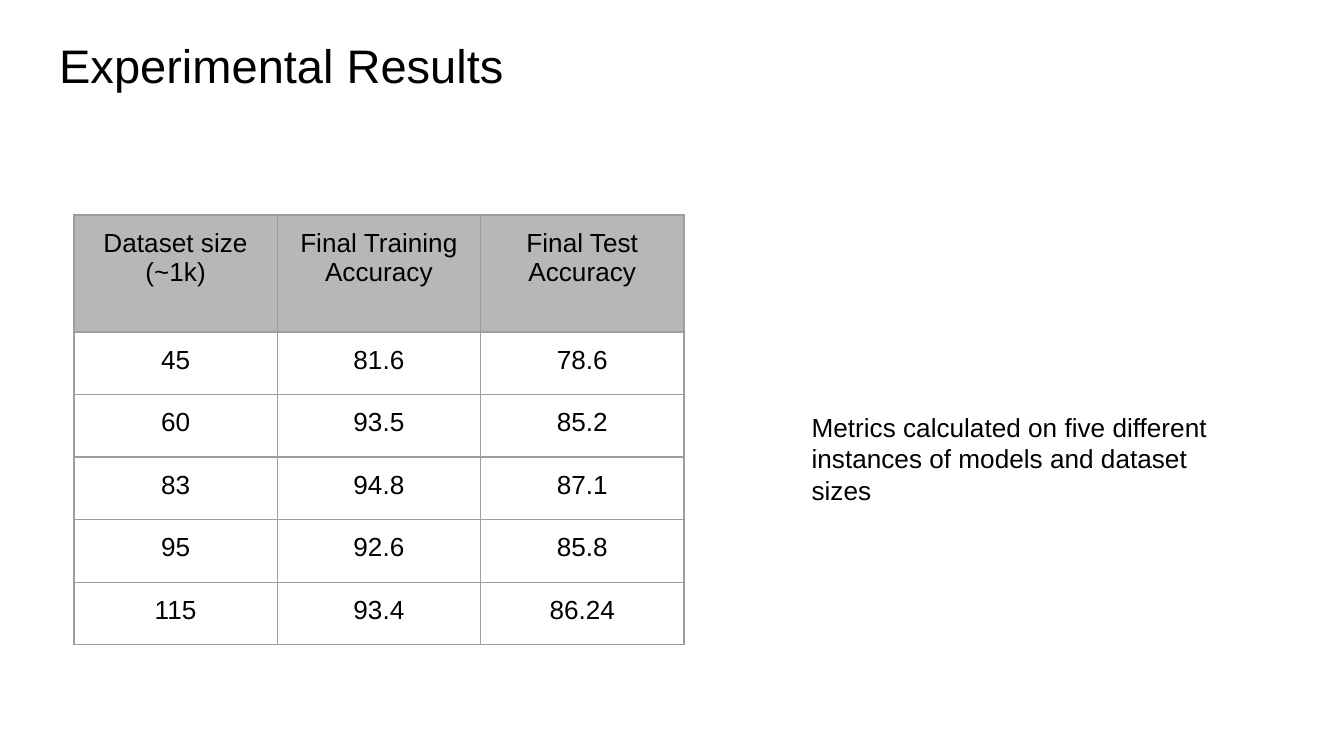
from dataclasses import dataclass

from lxml.etree import SubElement
from pptx import Presentation
from pptx.dml.color import RGBColor
from pptx.enum.text import MSO_ANCHOR as Anchor, MSO_AUTO_SIZE as AutoSize, PP_ALIGN as Align
from pptx.oxml.ns import qn
from pptx.util import Inches, Pt


@dataclass(frozen=True)
class Theme:
    font: str = "Arial"
    text: str = "000000"
    header: str = "B7B7B7"
    border: str = "9E9E9E"
    title_size: float = 25.2
    body_size: float = 14
    border_width: float = 0.75
    inset: float = 0.1


THEME = Theme()
ROWS = [
    ("Dataset size (~1k)", "Final Training Accuracy", "Final Test Accuracy"),
    ("45", "81.6", "78.6"),
    ("60", "93.5", "85.2"),
    ("83", "94.8", "87.1"),
    ("95", "92.6", "85.8"),
    ("115", "93.4", "86.24"),
]


def set_values(target, values):
    for name, value in values.items():
        setattr(target, name, value)


def inset_values():
    sides = ("left", "top", "right", "bottom")
    return {f"margin_{side}": Inches(THEME.inset) for side in sides}


def write(frame, text, size, align=Align.LEFT):
    para = frame.paragraphs[0]
    set_values(para, {"alignment": align, "line_spacing": 1.0})
    span = para.add_run()
    span.text = text
    set_values(span.font, {"name": THEME.font, "size": Pt(size)})
    span.font.color.rgb = RGBColor.from_string(THEME.text)


def outline_cell(cell):
    # Borders come before the fill in the cell properties
    properties = cell._tc.get_or_add_tcPr()
    for side in ("lnL", "lnR", "lnT", "lnB"):
        line = SubElement(properties, qn(f"a:{side}"), w=str(Pt(THEME.border_width)))
        fill = SubElement(line, qn("a:solidFill"))
        SubElement(fill, qn("a:srgbClr"), val=THEME.border)


def add_title(page, box, text):
    title = page.shapes.title
    set_values(title, dict(zip(("left", "top", "width", "height"), map(Inches, box))))
    set_values(title.text_frame, {
        **inset_values(), "word_wrap": True,
        "auto_size": AutoSize.NONE, "vertical_anchor": Anchor.BOTTOM,
    })
    write(title.text_frame, text, THEME.title_size)


def add_results(page, box, rows, header_height):
    width, height = box[2:]
    table = page.shapes.add_table(len(rows), len(rows[0]), *map(Inches, box)).table
    set_values(table, {"first_row": False, "horz_banding": False})
    for column in table.columns:
        column.width = Inches(width / len(rows[0]))
    row_height = (height - header_height) / (len(rows) - 1)
    for index, values in enumerate(rows):
        table.rows[index].height = Inches(row_height if index else header_height)
        for cell, value in zip(table.rows[index].cells, values):
            set_values(cell, {**inset_values(), "vertical_anchor": Anchor.TOP})
            outline_cell(cell)
            if index:
                cell.fill.background()
            else:
                cell.fill.solid()
                cell.fill.fore_color.rgb = RGBColor.from_string(THEME.header)
            write(cell.text_frame, value, THEME.body_size, Align.CENTER)


def add_note(page, box, text):
    frame = page.shapes.add_textbox(*map(Inches, box)).text_frame
    set_values(frame, {
        **inset_values(), "word_wrap": True,
        "auto_size": AutoSize.SHAPE_TO_FIT_TEXT, "vertical_anchor": Anchor.TOP,
    })
    write(frame, text, THEME.body_size)


def main():
    deck = Presentation()
    width = Inches(10)
    set_values(deck, {"slide_width": width, "slide_height": width * 9 // 16})
    page = deck.slides.add_slide(deck.slide_layouts[5])  # Title Only

    add_title(page, (0.34, 0.16, 9.32, 0.63), "Experimental Results")
    add_results(page, (0.55, 1.6, 4.54, 3.2), ROWS, header_height=0.87)
    add_note(page, (5.94, 2.96, 3.22, 0.91),
             "Metrics calculated on five different instances of models and dataset sizes")

    deck.save("out.pptx")


if __name__ == "__main__":
    main()
